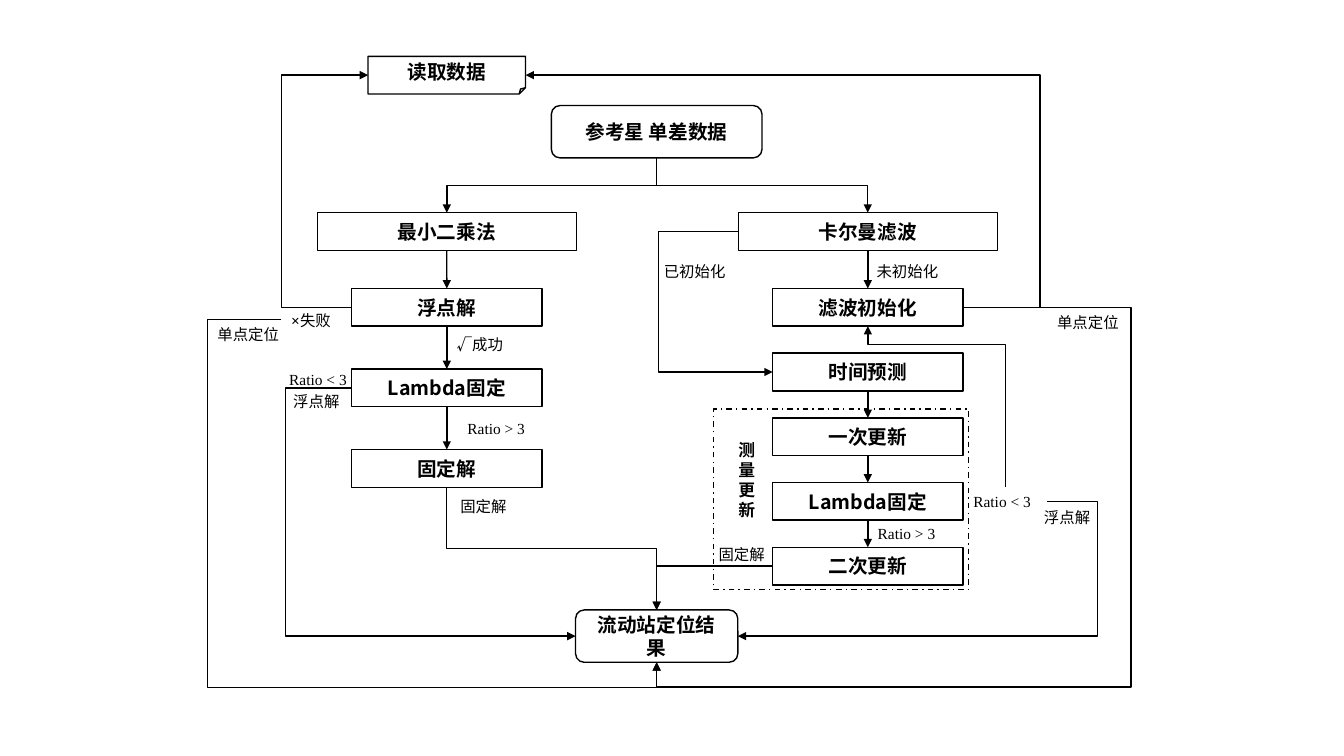
from lxml import etree
from pptx import Presentation
from pptx import util as u
from pptx.dml.color import RGBColor
from pptx.enum import dml, shapes, text
from pptx.oxml.ns import qn

SANS, SERIF = "Noto Sans CJK SC", "Times New Roman"
BLACK = RGBColor.from_string("000000")
RECT = shapes.MSO_SHAPE.RECTANGLE
ROUND = shapes.MSO_SHAPE.ROUNDED_RECTANGLE
FOLD = shapes.MSO_SHAPE.FOLDED_CORNER
TOP, LEFT, BASE, RIGHT = range(4)

deck = Presentation()
deck.slide_width, deck.slide_height = u.Cm(33.87), u.Cm(19.05)
slide = deck.slides.add_slide(deck.slide_layouts[6])


def put(words, x, y, w=2.08, h=0.66, kind=None, size=11, font=SERIF, bold=False, mark=""):
    """Place a text box, or an outlined shape of the given kind centred on x."""
    if kind is None:
        item = slide.shapes.add_textbox(u.Cm(x), u.Cm(y), u.Cm(w), u.Cm(h))
    else:
        item = slide.shapes.add_shape(kind, u.Cm(x - w / 2), u.Cm(y), u.Cm(w), u.Cm(h))
        item.shadow.inherit = False
        item.fill.background()
        item.line.color.rgb = BLACK
        item.line.width = u.Pt(1)
        item.text_frame.vertical_anchor = text.MSO_ANCHOR.MIDDLE
    item.text_frame.word_wrap = True
    para = item.text_frame.paragraphs[0]
    para.alignment = text.PP_ALIGN.CENTER if kind else text.PP_ALIGN.LEFT
    for part, heavy in ((mark, True), (words, bold)):
        if part:
            run = para.add_run()
            run.text = part
            run.font.size, run.font.bold, run.font.name = u.Pt(size), heavy, font
            run.font.color.rgb = BLACK
            etree.SubElement(run.font._element, qn("a:ea"), typeface=SANS)
    return item


def wire(start, exit, end, entry, *bends, elbow=True):
    """Join two sides with an arrow; bends give the x or y of each middle leg in cm."""
    kind = shapes.MSO_CONNECTOR.ELBOW if elbow else shapes.MSO_CONNECTOR.STRAIGHT
    link = slide.shapes.add_connector(kind, 0, 0, 0, 0)
    link.begin_connect(start, exit)
    link.end_connect(end, entry)
    x, y = link.begin_x, link.begin_y
    dx, dy = link.end_x - x, link.end_y - y
    props = link.element.spPr
    legs = [(x, dx), (y, dy)]
    if elbow and exit in (TOP, BASE):
        # A leg that leaves vertically is a horizontal one turned about its centre
        legs.reverse()
        turn = 1 if dx < 0 < dy else -1
        midx, midy = x + dx // 2, y + dy // 2
        link.begin_x, link.begin_y = midx - turn * dy // 2, midy + turn * dx // 2
        link.end_x, link.end_y = midx + turn * dy // 2, midy - turn * dx // 2
        link.rotation = 90 * turn % 360
    if bends:
        geom = props.find(qn("a:prstGeom"))
        geom.set("prst", f"bentConnector{len(bends) + 2}")
        guides = geom.find(qn("a:avLst"))
        for i, (bend, (base, span)) in enumerate(zip(bends, legs), 1):
            ratio = round((u.Cm(bend) - base) / span * 100000)
            etree.SubElement(guides, qn("a:gd"), name=f"adj{i}", fmla=f"val {ratio}")
    link.line.color.rgb = BLACK
    link.line.width = u.Pt(1)
    etree.SubElement(props.find(qn("a:ln")), qn("a:tailEnd"), type="triangle")
    etree.SubElement(props, qn("a:effectLst"))


# Main boxes
WEST, MID, EAST = 11.26, 16.55, 21.87
head = dict(size=14, font=SANS, bold=True)
read = put("读取数据", WEST, 1.42, 3.97, 0.95, FOLD, **head)
source = put("参考星 单差数据", MID, 2.66, 5.31, 1.32, ROUND, **head)
result = put("流动站定位结果", MID, 15.37, 4.09, 1.32, ROUND, **head)

tracks = []
for x, step, names in (
    (WEST, 2.03, ("最小二乘法", "浮点解", "Lambda固定", "固定解")),
    (EAST, 1.63, ("卡尔曼滤波", "滤波初始化", "时间预测", "一次更新", "Lambda固定", "二次更新")),
):
    track = [put(names[0], x, 5.36, 6.53, 0.95, RECT, **head)]
    for i, name in enumerate(names[1:]):
        track.append(put(name, x, 7.27 + i * step, 4.8, 0.95, RECT, **head))
    tracks.append(track)
least, float_, fix, fixed = tracks[0]
kalman, init, guess, first, again, second = tracks[1]

# Measurement update group
frame = put("", 21.2, 10.31, 6.43, 4.55, RECT)
frame.line.dash_style = dml.MSO_LINE.DASH_DOT
put("测量更新", 18.36, 10.95, 0.97, 2.31, size=12, font=SANS, bold=True)

# Labels
fail = put("失败", 7.09, 7.72, mark="×")
low = put("Ratio < 3", 24.28, 12.27, 2.11, 0.74)
put("成功", 11.26, 8.31, font=SANS, mark="√")
for words, x, y in (
    ("Ratio > 3", 11.53, 10.44),
    ("Ratio < 3", 7.04, 9.19),
    ("浮点解", 7.14, 9.75),
    ("单点定位", 5.23, 8.08),
    ("固定解", 11.35, 12.4),
    ("未初始化", 21.84, 6.48),
    ("已初始化", 16.48, 6.48),
    ("Ratio > 3", 21.87, 13.08),
    ("浮点解", 26.06, 12.67),
    ("固定解", 17.86, 13.61),
    ("单点定位", 26.39, 7.77),
):
    put(words, x, y, 2.11)

# Straight arrows down each track
for a, b in ((least, float_), (float_, fix), (fix, fixed), (kalman, init),
             (guess, first), (first, again), (again, second)):
    wire(a, BASE, b, TOP, elbow=False)

# Elbow arrows
wire(source, BASE, least, TOP, 4.67)
wire(source, BASE, kalman, TOP, 4.67)
wire(float_, LEFT, read, LEFT, 7.09)
wire(init, RIGHT, read, RIGHT, 26.21)
wire(kalman, LEFT, guess, LEFT, 16.59)
wire(low, TOP, init, BASE, 8.69)
wire(fix, LEFT, result, LEFT, 7.19)
wire(low, RIGHT, result, RIGHT, 27.66)
wire(fixed, BASE, result, TOP, 13.82)
wire(second, LEFT, result, TOP, MID)
wire(fail, LEFT, result, BASE, 5.23, 17.32)
wire(init, RIGHT, result, BASE, 28.5, 17.32)

deck.save("out.pptx")
